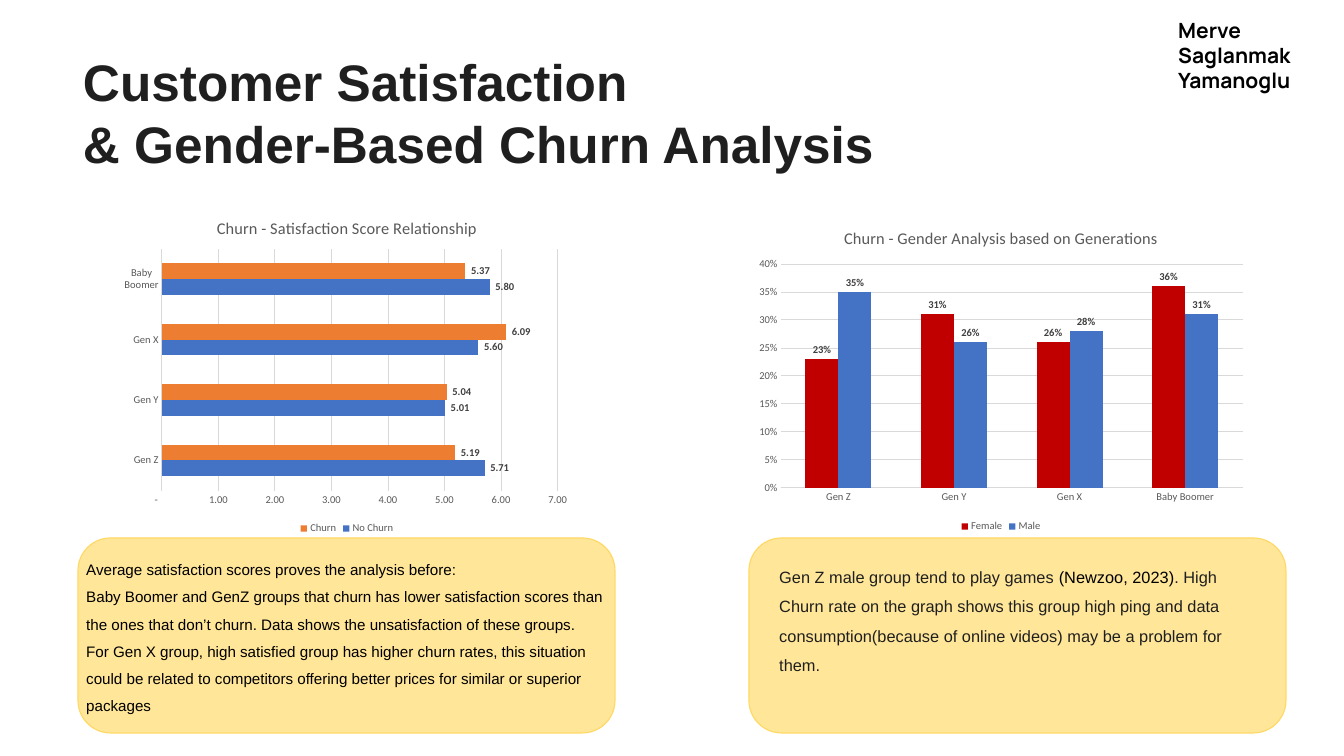
import pptx
import pptx.chart.data
import pptx.dml.color
import pptx.enum.chart
import pptx.enum.shapes
import pptx.enum.text
import pptx.oxml
import pptx.oxml.ns
import pptx.util

EMU_PER_PX = 914400 / 84
BLACK, INK, GREY, LABEL_GREY, GRID = "000000", "1F1F1F", "595959", "404040", "D9D9D9"
BLUE, ORANGE, RED = "4472C4", "ED7D31", "C00000"
SCORE_FORMAT = r'_(* #,##0.00_);_(* \(#,##0.00\);_(* "-"??_);_(@_)'
GENERATIONS = ["Gen Z", "Gen Y", "Gen X", "Baby Boomer"]


def px(*lengths):
    return [pptx.util.Emu(round(length * EMU_PER_PX)) for length in lengths]


def color(value):
    return pptx.dml.color.RGBColor.from_string(value)


def set_font(font, size, value, name="Calibri", bold=False):
    font.size = pptx.util.Pt(size)
    font.name = name
    font.bold = bold
    font.color.rgb = color(value)


def set_line(line, value, width):
    line.color.rgb = color(value)
    line.width = pptx.util.Pt(width)


def add_text(slide, box, paragraphs, *, size, value=BLACK, font="Arial", bold=False,
             spacing=None, wrap=True, inset=None, anchor="TOP"):
    """Each paragraph is a list of (text, colour) runs or one plain string."""
    frame = slide.shapes.add_textbox(*px(*box)).text_frame
    frame.word_wrap = wrap
    frame.auto_size = pptx.enum.text.MSO_AUTO_SIZE.SHAPE_TO_FIT_TEXT
    frame.vertical_anchor = pptx.enum.text.MSO_ANCHOR[anchor]
    if inset is not None:
        frame.margin_left = frame.margin_right = px(inset)[0]
        frame.margin_top = frame.margin_bottom = px(inset)[0]
    for index, content in enumerate(paragraphs):
        paragraph = frame.add_paragraph() if index else frame.paragraphs[0]
        paragraph.line_spacing = spacing
        runs = [(content, value)] if isinstance(content, str) else content
        for text, run_color in runs:
            for line_index, line in enumerate(text.split("\n")):
                if line_index:
                    paragraph.add_line_break()
                run = paragraph.add_run()
                run.text = line
                set_font(run.font, size, run_color, font, bold)


def add_panel(slide, left):
    panel = slide.shapes.add_shape(
        pptx.enum.shapes.MSO_SHAPE.ROUNDED_RECTANGLE, *px(left, 538, 537, 195))
    panel.shadow.inherit = False
    panel.fill.solid()
    panel.fill.fore_color.rgb = color("FFE699")
    set_line(panel.line, "FFD966", 1)


def place_plot(chart, chart_box, plot_box):
    """Fix the inner plot area; both boxes are slide positions in px."""
    left, top, width, height = chart_box
    plot_left, plot_top, plot_width, plot_height = plot_box
    fractions = {"x": (plot_left - left) / width, "y": (plot_top - top) / height,
                 "w": plot_width / width, "h": plot_height / height}
    settings = [("layoutTarget", "inner"), ("xMode", "edge"), ("yMode", "edge")]
    settings += [(name, f"{fraction:.3f}") for name, fraction in fractions.items()]
    items = "".join(f'<c:{name} val="{setting}"/>' for name, setting in settings)
    layout = pptx.oxml.parse_xml(
        f'<c:layout {pptx.oxml.ns.nsdecls("c")}><c:manualLayout>{items}'
        '</c:manualLayout></c:layout>')
    plot_area = chart.plots[0]._element.getparent()
    for existing in plot_area.findall(pptx.oxml.ns.qn("c:layout")):
        plot_area.remove(existing)
    plot_area.insert(0, layout)


def add_bar_chart(slide, box, plot_box, kind, title, series, *, number_format, gap,
                  maximum, step):
    """Series are (name, values, colour) tuples."""
    data = pptx.chart.data.CategoryChartData(number_format=number_format)
    data.categories = GENERATIONS
    for name, values, _ in series:
        data.add_series(name, values)
    chart = slide.shapes.add_chart(
        pptx.enum.chart.XL_CHART_TYPE[kind], *px(*box), data).chart
    set_font(chart.font, 10, BLACK)
    chart.has_title = True
    title_paragraph = chart.chart_title.text_frame.paragraphs[0]
    title_run = title_paragraph.add_run()
    title_run.text = title
    set_font(title_run.font, 14, GREY)
    chart.chart_title.include_in_layout = False

    chart.has_legend = True
    chart.legend.position = pptx.enum.chart.XL_LEGEND_POSITION.BOTTOM
    chart.legend.include_in_layout = False
    set_font(chart.legend.font, 9, GREY)

    for axis in (chart.category_axis, chart.value_axis):
        axis.major_tick_mark = axis.minor_tick_mark = pptx.enum.chart.XL_TICK_MARK.NONE
        set_font(axis.tick_labels.font, 9, GREY)
    set_line(chart.category_axis.format.line, GRID, 0.75)
    value_axis = chart.value_axis
    value_axis.format.line.fill.background()
    set_line(value_axis.major_gridlines.format.line, GRID, 0.75)
    value_axis.minimum_scale, value_axis.maximum_scale = 0, maximum
    value_axis.major_unit = step
    value_axis.tick_labels.number_format = number_format
    value_axis.tick_labels.number_format_is_linked = False

    plot = chart.plots[0]
    plot.vary_by_categories = False
    plot.gap_width, plot.overlap = gap, 0
    for bars, (_, _, fill) in zip(plot.series, series):
        bars.format.fill.solid()
        bars.format.fill.fore_color.rgb = color(fill)
        bars.invert_if_negative = False
        labels = bars.data_labels
        labels.show_value = True
        labels.position = pptx.enum.chart.XL_LABEL_POSITION.OUTSIDE_END
        labels.number_format = number_format
        labels.number_format_is_linked = False
        set_font(labels.font, 9, LABEL_GREY, bold=True)
    place_plot(chart, box, plot_box)


def main():
    presentation = pptx.Presentation()
    presentation.slide_width, presentation.slide_height = px(1344, 756)
    slide = presentation.slides.add_slide(presentation.slide_layouts[6])

    for left in (78, 749):
        add_panel(slide, left)

    add_bar_chart(
        slide, (115, 203, 464, 335), (162, 249, 396, 242), "BAR_CLUSTERED",
        "Churn - Satisfaction Score Relationship",
        [("No Churn", (5.71, 5.01, 5.60, 5.80), BLUE),
         ("Churn", (5.19, 5.04, 6.09, 5.37), ORANGE)],
        number_format=SCORE_FORMAT, gap=182, maximum=7, step=1)
    add_text(slide, (78, 547, 537, 171), [
        "Average satisfaction scores proves the analysis before:\n"
        "Baby Boomer and GenZ groups that churn has lower satisfaction scores than "
        "the ones that don’t churn. Data shows the unsatisfaction of these groups.",
        "For Gen X group, high satisfied group has higher churn rates, this situation "
        "could be related to competitors offering better prices for similar or superior "
        "packages"], size=13, spacing=1.5)

    add_bar_chart(
        slide, (749, 213, 504, 323), (781, 264, 462, 224), "COLUMN_CLUSTERED",
        "Churn - Gender Analysis based on Generations",
        [("Female", (0.23, 0.31, 0.26, 0.36), RED),
         ("Male", (0.35, 0.26, 0.28, 0.31), BLUE)],
        number_format="0%", gap=150, maximum=0.4, step=0.05)
    add_text(slide, (771, 553, 495, 123), [[
        ("Gen Z male group tend to play games ", INK),
        ("(Newzoo, 2023)", BLACK),
        (". High Churn rate on the graph shows this group high ping and data "
         "consumption(because of online videos) may be a problem for them.", INK)]],
        size=14, spacing=1.5)

    add_text(slide, (83, 50, 799, 124),
             ["Customer Satisfaction", "& Gender-Based Churn Analysis"],
             size=44, value=INK, bold=True, wrap=False, inset=0, anchor="MIDDLE")
    add_text(slide, (1170, 13, 166, 110), ["Merve Saglanmak", "Yamanoglu"],
             size=18, font="Manrope", bold=True)
    presentation.save("out.pptx")


if __name__ == "__main__":
    main()
